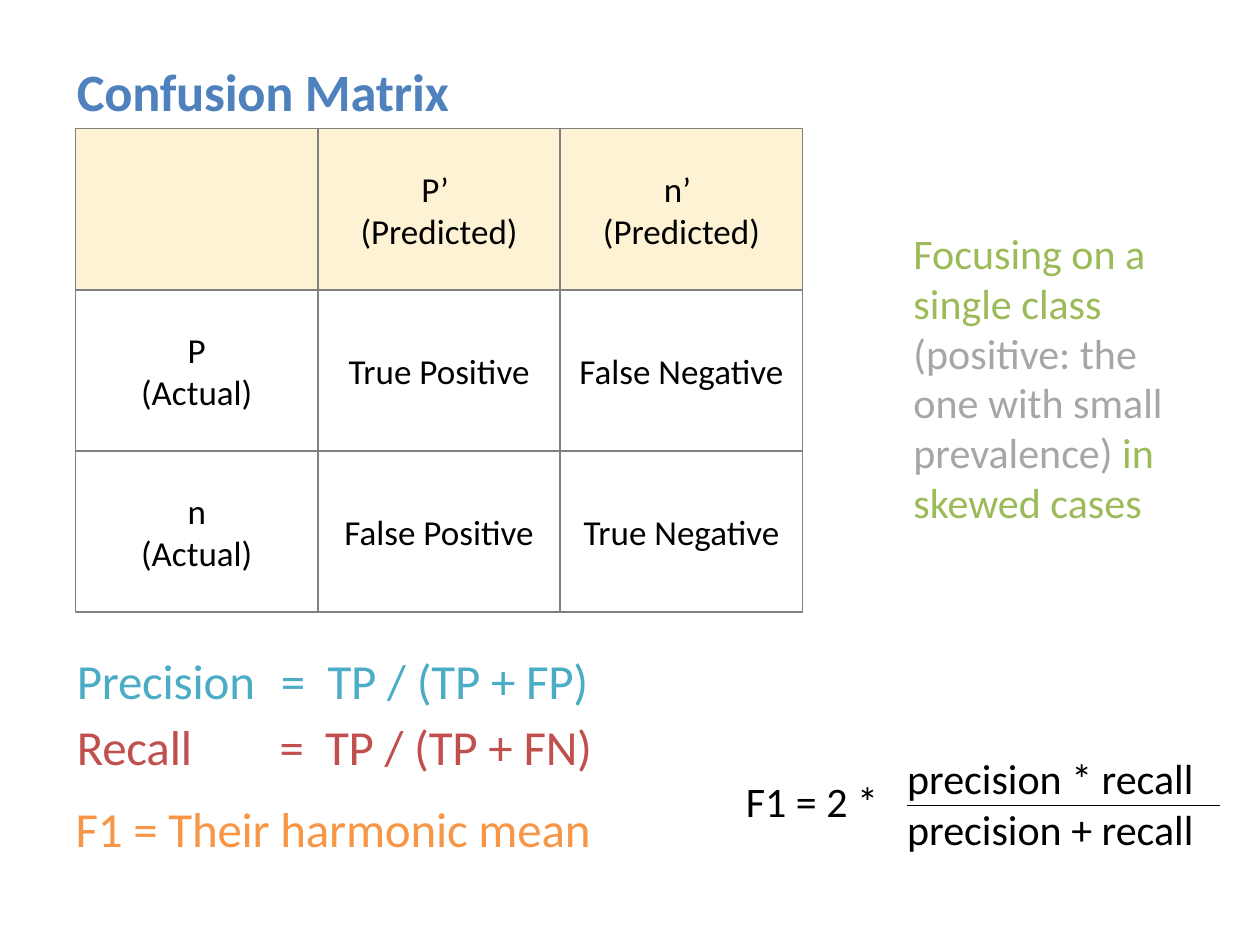
import pptx
import pptx.dml.color
import pptx.enum.shapes
import pptx.enum.text
import pptx.oxml
import pptx.oxml.ns
import pptx.util

Inches = pptx.util.Inches
Pt = pptx.util.Pt
RGBColor = pptx.dml.color.RGBColor
ANCHOR = pptx.enum.text.MSO_ANCHOR
ALIGN = pptx.enum.text.PP_ALIGN

BLUE = RGBColor(0x4F, 0x81, 0xBD)
TEAL = RGBColor(0x4B, 0xAC, 0xC6)
RED = RGBColor(0xC0, 0x50, 0x4D)
ORANGE = RGBColor(0xF7, 0x96, 0x46)
GREEN = RGBColor(0x9B, 0xBB, 0x59)
GRAY = RGBColor(0xA6, 0xA6, 0xA6)
BLACK = RGBColor(0, 0, 0)
WHITE = RGBColor(0xFF, 0xFF, 0xFF)
CREAM = RGBColor(0xFD, 0xF2, 0xD4)
BORDER = RGBColor(0x80, 0x80, 0x80)

FONT = "Calibri"
TIGHT = 0.99  # line spacing of the body text
MATRIX = [
    ["", "P’ \n(Predicted)", "n’ \n(Predicted)"],
    ["P\n(Actual)", "True Positive", "False Negative"],
    ["n\n(Actual)", "False Positive", "True Negative"],
]


def apply_format(target, values):
    for name, value in values.items():
        setattr(target, name, value)


def set_margins(frame, margin):
    for side in ("left", "right", "top", "bottom"):
        setattr(frame, f"margin_{side}", Inches(margin))


def add_run(paragraph, text, size, color, bold=False, tracking=0):
    """Add a run; tracking is in hundredths of a point."""
    run = paragraph.add_run()
    run.text = text
    apply_format(run.font, {"name": FONT, "size": Pt(size), "bold": bold})
    run.font.color.rgb = color
    if tracking:
        run._r.get_or_add_rPr().set("spc", str(tracking))


def add_text(slide, box, pieces, size, bold=False, tracking=0, spacing=None):
    """Place one paragraph made of (text, colour) pieces."""
    frame = slide.shapes.add_textbox(*map(Inches, box)).text_frame
    apply_format(frame, {
        "word_wrap": True,
        "auto_size": pptx.enum.text.MSO_AUTO_SIZE.SHAPE_TO_FIT_TEXT,
    })
    set_margins(frame, 0)
    paragraph = frame.paragraphs[0]
    paragraph.line_spacing = spacing
    for text, color in pieces:
        add_run(paragraph, text, size, color, bold, tracking)
    return paragraph


def set_tabs(paragraph, stops):
    tabs = "".join(f'<a:tab pos="{Inches(stop)}" algn="l"/>' for stop in stops)
    paragraph._p.get_or_add_pPr().append(pptx.oxml.parse_xml(
        f'<a:tabLst {pptx.oxml.ns.nsdecls("a")}>{tabs}</a:tabLst>'))


def add_matrix_cell(slide, box, label, color):
    cell = slide.shapes.add_shape(
        pptx.enum.shapes.MSO_SHAPE.RECTANGLE, *map(Inches, box))
    cell.shadow.inherit = False
    cell.fill.solid()
    cell.fill.fore_color.rgb = color
    cell.line.color.rgb = BORDER
    cell.line.width = Pt(1)
    frame = cell.text_frame
    apply_format(frame, {"word_wrap": True, "vertical_anchor": ANCHOR.MIDDLE})
    set_margins(frame, 0.08)
    for index, line in enumerate(label.split("\n") if label else []):
        paragraph = frame.add_paragraph() if index else frame.paragraphs[0]
        paragraph.alignment = ALIGN.CENTER
        add_run(paragraph, line, 20, BLACK)


def add_matrix(slide, box):
    left, top, width, height = box
    cell_width, cell_height = width / len(MATRIX[0]), height / len(MATRIX)
    for row, labels in enumerate(MATRIX):
        for column, label in enumerate(labels):
            cell_box = (left + column * cell_width, top + row * cell_height,
                        cell_width, cell_height)
            add_matrix_cell(slide, cell_box, label, WHITE if row else CREAM)


def add_measures(slide, box):
    """Precision and recall with aligned equals signs, then the F1 summary."""
    left, top, width, height = box
    measures = [
        (0.01, 0, "Precision\t=\tTP / (TP + FP)", TEAL, (1.62, 1.99), None),
        (0.01, 0.53, "Recall\t=\tTP / (TP + FN)", RED, (1.61, 1.97), None),
        (0, 1.2, "F1 = Their harmonic mean", ORANGE, (), TIGHT),
    ]
    for indent, offset, text, color, stops, spacing in measures:
        paragraph = add_text(slide, (left + indent, top + offset, width, height),
                             [(text, color)], 28, tracking=-10, spacing=spacing)
        if stops:
            set_tabs(paragraph, stops)


def add_f1_formula(slide, box):
    left, top, width, height = box
    half = height / 2
    bar_left, bar_top = left + 1.28, top + half
    bar_width = width - 1.28
    add_text(slide, (left, top + 0.18, 1.2, half), [("F1 = 2 *", BLACK)], 24, spacing=TIGHT)
    for index, sign in enumerate("*+"):
        add_text(slide, (bar_left, top + index * half, bar_width, half),
                 [(f"precision {sign} recall", BLACK)], 24, spacing=TIGHT)
    # Fraction bar
    bar = slide.shapes.add_connector(
        pptx.enum.shapes.MSO_CONNECTOR.STRAIGHT, Inches(bar_left), Inches(bar_top),
        Inches(bar_left + bar_width), Inches(bar_top))
    bar.line.color.rgb = BLACK
    bar.line.width = Pt(0.75)
    bar._element.spPr.append(pptx.oxml.parse_xml(
        f'<a:effectLst {pptx.oxml.ns.nsdecls("a")}/>'))


def main():
    deck = pptx.Presentation()
    deck.slide_width, deck.slide_height = Inches(10), Inches(7.5)
    slide = deck.slides.add_slide(deck.slide_layouts[6])

    # Title and matrix
    add_text(slide, (0.61, 0.47, 8.8, 0.5), [("Confusion Matrix", BLUE)], 30,
             bold=True, tracking=-13)
    add_matrix(slide, (0.6, 1.02, 5.77, 3.84))

    # Side note
    add_text(slide, (7.25, 1.82, 2.26, 2.42), [
        ("Focusing on a single class ", GREEN),
        ("(positive: the one with small prevalence) ", GRAY),
        ("in skewed cases", GREEN),
    ], 24, spacing=TIGHT)

    # Formulas
    add_measures(slide, (0.6, 5.16, 6.2, 0.47))
    add_f1_formula(slide, (5.92, 5.99, 3.76, 0.81))
    deck.save("out.pptx")


if __name__ == "__main__":
    main()
